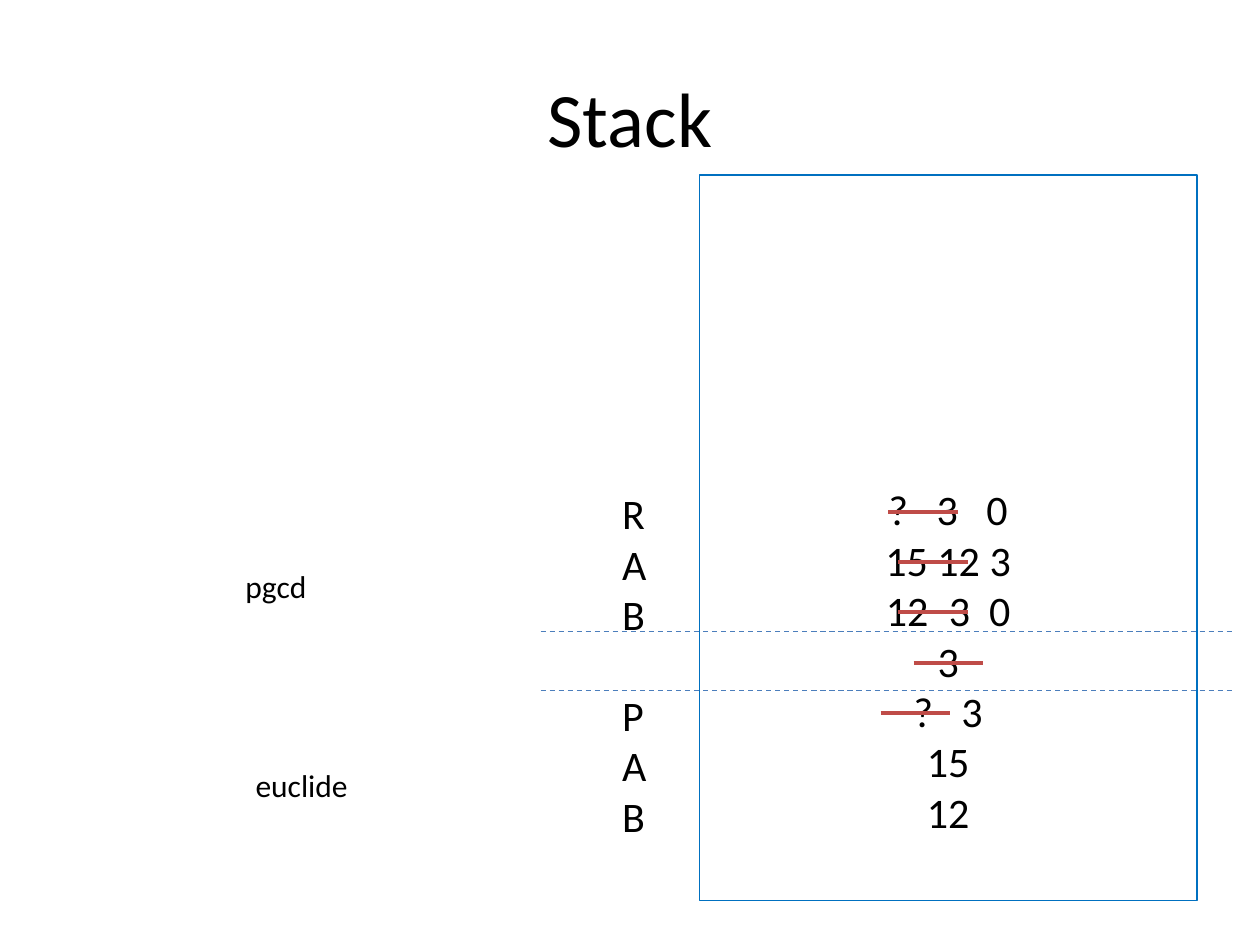
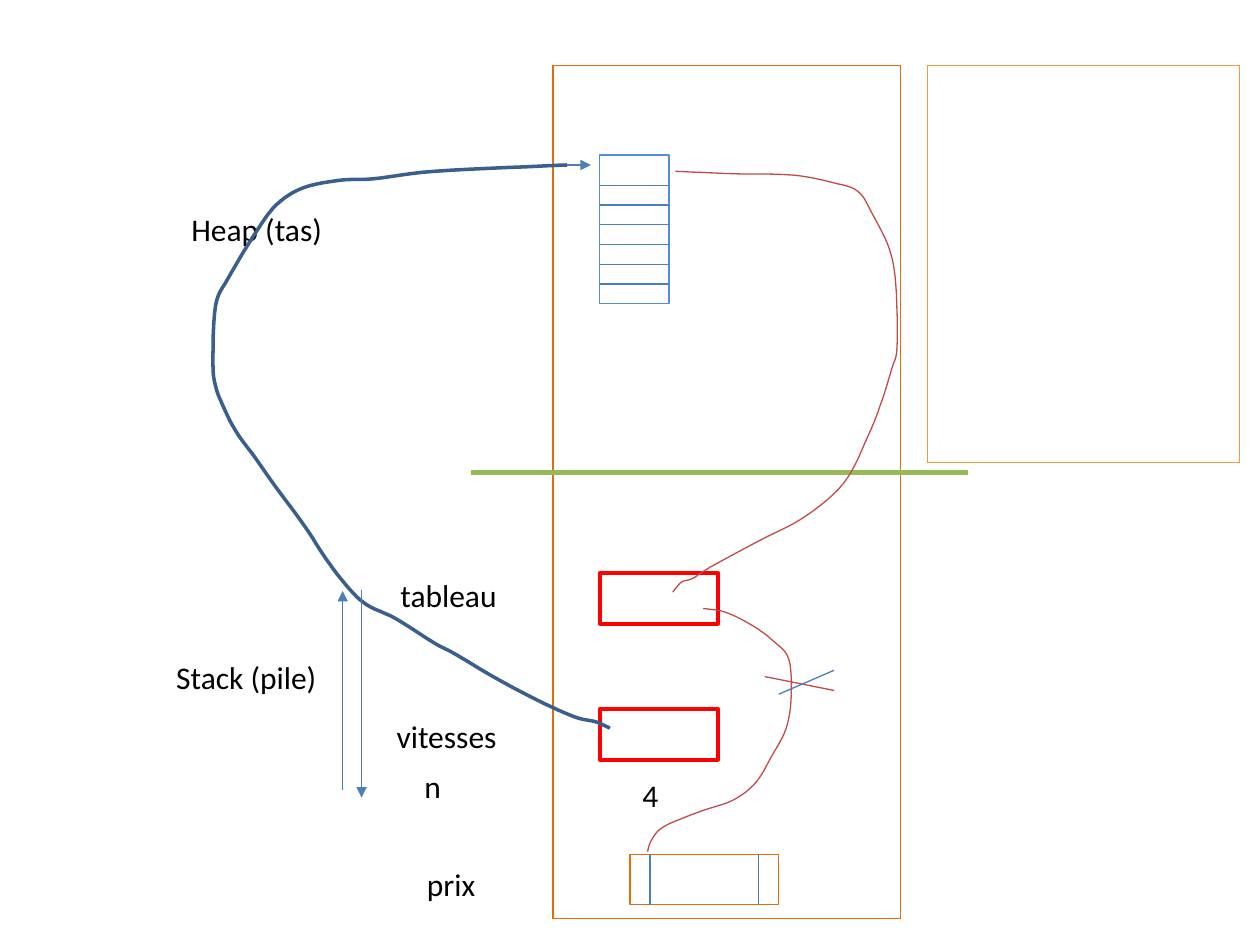
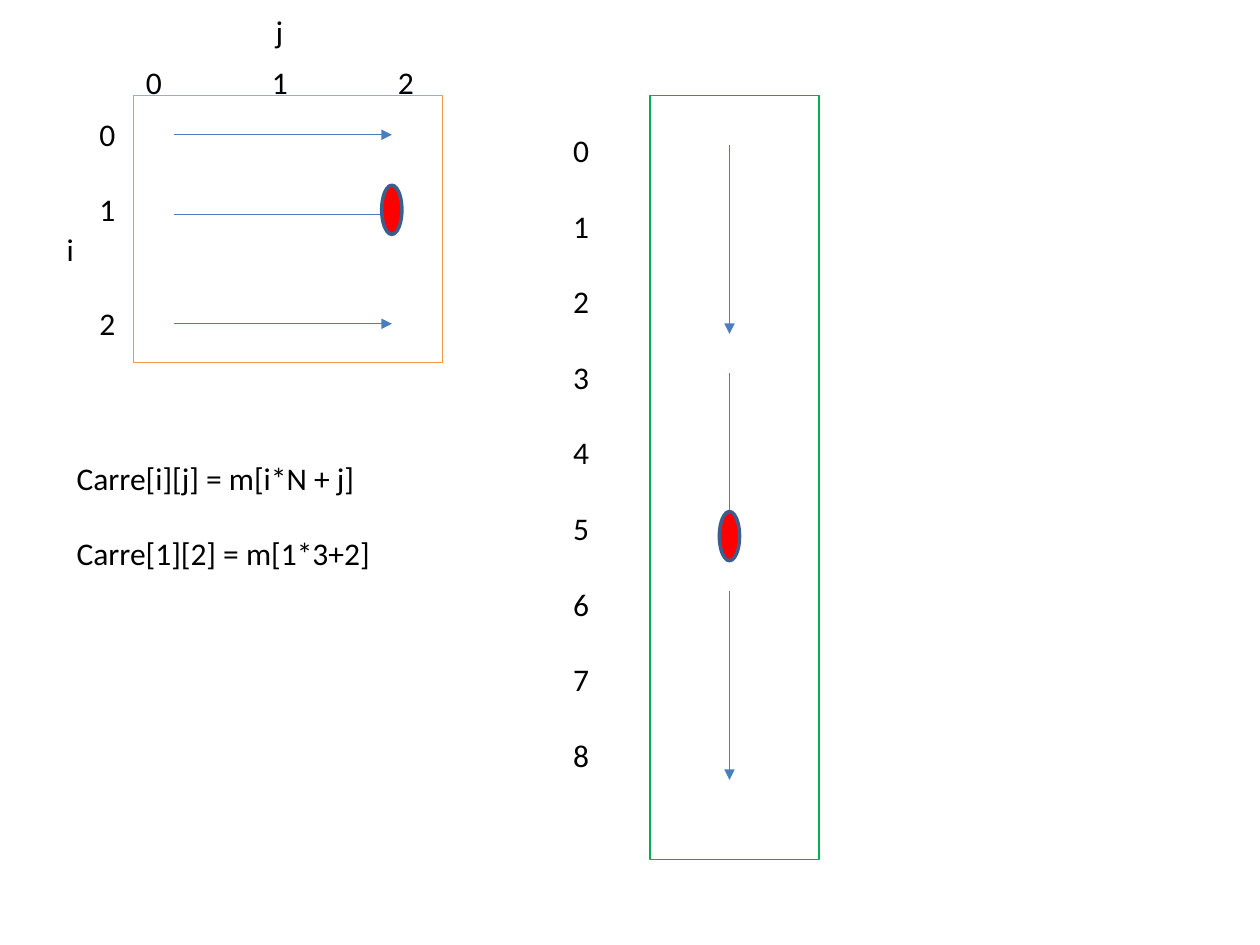
from lxml.etree import SubElement
from pptx import Presentation
from pptx.dml.color import RGBColor
from pptx.enum.dml import MSO_LINE
from pptx.enum.shapes import MSO_CONNECTOR, MSO_SHAPE
from pptx.enum.text import MSO_ANCHOR, PP_ALIGN
from pptx.oxml.ns import qn
from pptx.util import Inches, Pt

# Shared look: colours, line weights and sizes in points, lengths in inches
FONT = "Calibri"
BLACK, RED, CRIMSON = "000000", "FF0000", "BF4C48"
BLUE, NAVY, SKY, AZURE = "4B7EBC", "3A5F8C", "558ED5", "0070C0"
ORANGE, PEACH, GREEN, OLIVE = "E46C0A", "F79646", "00B050", "98B955"
THIN, CURVE, BOLD, HEAVY = 0.75, 2, 2.25, 3
TITLE_SIZE, STACK_SIZE, LABEL_SIZE = 44, 24, 18
LINE_HEIGHT = 1.2    # line pitch as a share of the font size
SPACE_WIDTH = 0.226  # width of a space as a share of the font size
LABEL_HEIGHT = 0.4

# Slide 1: stack rows as (values, spaces between values)
TITLE_BOX = (0.5, 0.3, 9, 1.25)
STACK_BOX = (5.55, 1.39, 3.95, 5.76)
STACK_ROWS = [(["?", "3", "0"], 3), (["15", "12", "3"], 1), (["3", "0"], 2),
              (["3"], 1), (["?", "3"], 3), (["15"], 1), (["12"], 1)]
STACK_LINES_ABOVE = 6
NUMBERED_ROW, FIRST_NUMBER = 2, 12
NAMES_BOX = (4.84, 1.82, 0.63, 5.25)
VARIABLE_NAMES = [("R", 0), ("A", 0), ("B", 0), ("P", 1), ("A", 0), ("B", 0)]
NAMES_LINES_ABOVE = 5
FUNCTION_LABELS = [("euclide", 1.93, 6.03, 2.36), ("pgcd", 1.85, 4.45, 2.36)]
BORDER_LEFT, BORDER_RIGHT, BORDER_TOPS = 4.29, 9.8, [5.01, 5.48]
STRIKE_LEFTS = [7.05, 7.13, 7.13, 7.25, 6.99]  # one struck row after another
STRIKE_TOP, STRIKE_PITCH, STRIKE_LENGTH = 4.06, 0.4, 0.55

# Slide 2: labels as (text, left, top, width)
MEMORY_BOX = (4.39, 0.52, 2.76, 6.77)
SPARE_BOX = (7.36, 0.52, 2.48, 3.15)
MEMORY_LABELS = [
    ("Stack (pile)", 1.3, 5.17, 2.44), ("Heap (tas)", 1.42, 1.62, 2.6),
    ("prix", 3.29, 6.82, 0.75), ("n", 3.27, 6.04, 0.75), ("4", 5, 6.11, 1.02),
    ("vitesses", 3.05, 5.64, 1.16), ("tableau", 3.08, 4.52, 1.16)]
HEAP_FLOOR = ((3.74, 3.75), (7.68, 3.75))
MEMORY_ARROWS = [((2.72, 6.27), (2.72, 4.69)),  # stack grows
                 ((2.87, 4.68), (2.87, 6.33)),  # stack shrinks
                 ((4.5, 1.31), (4.69, 1.31))]   # into the heap array
ARRAY_BOX = (4.76, 1.23, 0.55, 1.18)
ARRAY_FIRST_CELL, ARRAY_OTHER_CELLS = 0.24, 6
PRICE_BOX = (5, 6.78, 1.18, LABEL_HEIGHT)
PRICE_DIVIDERS = [5.16, 6.02]
POINTER_BOXES = [(4.76, top, 0.94, LABEL_HEIGHT) for top in (4.55, 5.63)]
CROSS = [((6.07, 5.37), (6.62, 5.48), CRIMSON), ((6.62, 5.32), (6.18, 5.51), BLUE)]

# Pointers drawn as smooth curves through a few points, in hundredths of an inch
CURVE_STEPS = 6
SPEEDS_TO_HEAP = [
    (484, 578), (473, 573), (456, 569), (427, 556), (393, 538), (361, 519),
    (344, 510), (314, 491), (291, 480), (276, 466), (259, 444), (242, 418),
    (217, 384), (203, 364), (187, 342), (176, 320), (171, 306), (169, 289),
    (171, 243), (181, 221), (204, 183), (220, 162), (241, 149), (271, 143),
    (296, 142), (345, 136), (427, 132), (450, 131)]
TABLE_TO_PRICES = [
    (558, 483), (576, 486), (598, 497), (614, 509), (626, 523), (628, 552),
    (624, 578), (612, 601), (600, 621), (582, 635), (556, 644), (527, 656),
    (517, 667), (514, 676)]
TABLE_TO_HEAP = [
    (534, 470), (541, 462), (550, 459), (564, 450), (603, 429), (639, 410),
    (670, 383), (689, 346), (700, 318), (708, 292), (712, 275), (711, 226),
    (706, 198), (693, 171), (681, 152), (661, 145), (629, 139), (583, 138),
    (536, 136)]
POINTER_CURVES = [(SPEEDS_TO_HEAP, NAVY, CURVE), (TABLE_TO_PRICES, CRIMSON, THIN),
                  (TABLE_TO_HEAP, CRIMSON, THIN)]

# Slide 3: text blocks as (rows, box), rows as (text, empty lines above)
MATRIX_BOX = (1.06, 0.76, 2.45, 2.12)
CELLS_BOX = (5.16, 0.76, 1.34, 6.06)
MATRIX_ROWS = [("0", 0), ("1", 1), ("2", 2)]
MEMORY_CELLS = [(str(cell), min(cell, 1)) for cell in range(9)]
FORMULAS = [("Carre[i][j] = m[i*N + j]", 0), ("Carre[1][2] = m[1*3+2]", 1)]
INDEX_BLOCKS = [(FORMULAS, (0.51, 3.59, 2.99, 1.01)),
                (MATRIX_ROWS, (0.69, 0.86, 0.37, 1.92)),
                (MEMORY_CELLS, (4.45, 0.99, 0.63, 5.25))]
AXIS_LABELS = [("i", 0.43, 1.78, 0.26), ("j", 2.09, 0.05, 0.26)]
COLUMN_INDICES = ["0", "1", "2"]
COLUMN_INDEX_BOX, COLUMN_PITCH = (1.06, 0.45, 2.44, LABEL_HEIGHT), 1
ROW_ARROW_LEFT, ROW_ARROW_RIGHT, ROW_ARROW_TOPS = 1.38, 3.11, [1.07, 1.7, 2.57]
CELL_ARROW_X, CELL_ARROW_LENGTH, CELL_ARROW_TOPS = 5.79, 1.5, [1.15, 2.96, 4.69]
MARKED_CELLS = [(left, top, 0.16, 0.39) for left, top in ((3.03, 1.47), (5.71, 4.06))]


# Text
def color(hex_code):
    return RGBColor.from_string(hex_code)


def next_paragraph(frame, index, size):
    paragraph = frame.add_paragraph() if index else frame.paragraphs[0]
    paragraph.font.name = FONT
    paragraph.font.size = Pt(size)
    paragraph.font.color.rgb = color(BLACK)
    return paragraph


def start_frame(shape, size, lines_above=0):
    frame = shape.text_frame
    frame.word_wrap = True
    frame.vertical_anchor = MSO_ANCHOR.TOP
    frame.margin_top += lines_above * Pt(size * LINE_HEIGHT)
    return frame


def add_text(slide, rows, box, size=LABEL_SIZE, lines_above=0):
    """Write rows of (text, empty lines above) into one text box."""
    textbox = slide.shapes.add_textbox(*map(Inches, box))
    frame = start_frame(textbox, size, lines_above)
    for index, (text, gap) in enumerate(rows):
        paragraph = next_paragraph(frame, index, size)
        paragraph.text = text
        if gap:
            paragraph.space_before = gap * Pt(size * LINE_HEIGHT)
    return frame


def add_labels(slide, labels):
    for text, left, top, width in labels:
        add_text(slide, [(text, 0)], (left, top, width, LABEL_HEIGHT))


def add_spaced_values(paragraph, values, spaces, size):
    """Part the values with one space each, widened by character spacing."""
    for index, value in enumerate(values):
        if index:
            space = paragraph.add_run()
            space.text = " "
            extra = (spaces - 1) * SPACE_WIDTH * size
            space._r.get_or_add_rPr().set("spc", str(round(extra * 100)))
        paragraph.add_run().text = value


def number_paragraph(paragraph, first_number):
    properties = paragraph._p.get_or_add_pPr()
    properties.set("marL", str(Inches(0.5)))
    properties.set("indent", str(-Inches(0.5)))
    numbering = properties.makeelement(
        qn("a:buAutoNum"), {"type": "arabicPlain", "startAt": str(first_number)})
    properties.insert(0, numbering)


def set_tab_stops(paragraph, pitch, count):
    stops = paragraph._p.get_or_add_pPr().makeelement(qn("a:tabLst"), {})
    for stop in range(1, count + 1):
        SubElement(stops, qn("a:tab"), pos=str(Inches(stop * pitch)), algn="l")
    paragraph._p.get_or_add_pPr().insert(0, stops)


# Shapes and lines
def set_line(shape, hex_code, width):
    shape.line.color.rgb = color(hex_code)
    shape.line.width = Pt(width)


def add_outline(slide, box, line, width=THIN, kind=MSO_SHAPE.RECTANGLE, fill=None):
    shape = slide.shapes.add_shape(kind, *map(Inches, box))
    shape.shadow.inherit = False
    if fill:
        shape.fill.solid()
        shape.fill.fore_color.rgb = color(fill)
    else:
        shape.fill.background()
    set_line(shape, line, width)
    return shape


def add_line(slide, start, end, hex_code=BLUE, width=THIN, arrow=False, dashed=False):
    ends = map(Inches, (*start, *end))
    connector = slide.shapes.add_connector(MSO_CONNECTOR.STRAIGHT, *ends)
    set_line(connector, hex_code, width)
    if dashed:
        connector.line.dash_style = MSO_LINE.DASH
    if arrow:
        SubElement(connector.get_or_add_ln(), qn("a:tailEnd"), type="triangle")
    SubElement(connector._element.spPr, qn("a:effectLst"))


def smooth(points):
    """Put extra points between the given ones, on a Catmull-Rom spline."""
    padded = [points[0], *points, points[-1]]
    result = [points[0]]
    for before, start, end, after in zip(padded, padded[1:], padded[2:], padded[3:]):
        for step in range(1, CURVE_STEPS + 1):
            t = step / CURVE_STEPS
            result.append(tuple(
                (2 * b + (c - a) * t + (2 * a - 5 * b + 4 * c - d) * t ** 2
                 + (3 * b - a - 3 * c + d) * t ** 3) / 2
                for a, b, c, d in zip(before, start, end, after)))
    return result


def add_curve(slide, points, hex_code, width):
    # Tenfold units keep the spline's points from being rounded too far
    start, *others = [(x * 10, y * 10) for x, y in smooth(points)]
    builder = slide.shapes.build_freeform(*start, scale=Inches(1) / 1000)
    builder.add_line_segments(others, close=False)
    curve = builder.convert_to_shape()
    curve.shadow.inherit = False
    curve.fill.background()
    set_line(curve, hex_code, width)


# Slides
def build_stack(slide):
    title = add_text(slide, [("Stack", 0)], TITLE_BOX, TITLE_SIZE)
    title.vertical_anchor = MSO_ANCHOR.MIDDLE
    title.paragraphs[0].alignment = PP_ALIGN.CENTER

    # Values inside the stack, names beside it
    stack = add_outline(slide, STACK_BOX, AZURE)
    frame = start_frame(stack, STACK_SIZE, STACK_LINES_ABOVE)
    for index, (values, spaces) in enumerate(STACK_ROWS):
        paragraph = next_paragraph(frame, index, STACK_SIZE)
        paragraph.alignment = PP_ALIGN.CENTER
        add_spaced_values(paragraph, values, spaces, STACK_SIZE)
        if index == NUMBERED_ROW:
            number_paragraph(paragraph, FIRST_NUMBER)
    add_text(slide, VARIABLE_NAMES, NAMES_BOX, STACK_SIZE, NAMES_LINES_ABOVE)
    add_labels(slide, FUNCTION_LABELS)

    # Borders between calls, strokes through old values
    for y in BORDER_TOPS:
        add_line(slide, (BORDER_LEFT, y), (BORDER_RIGHT, y), dashed=True)
    for row, x in enumerate(STRIKE_LEFTS):
        y = STRIKE_TOP + row * STRIKE_PITCH
        add_line(slide, (x, y), (x + STRIKE_LENGTH, y), CRIMSON, BOLD)


def build_heap(slide):
    # Memory, with the heap above the stack
    add_outline(slide, MEMORY_BOX, ORANGE)
    add_outline(slide, SPARE_BOX, PEACH)
    add_line(slide, *HEAP_FLOOR, OLIVE, HEAVY)
    add_labels(slide, MEMORY_LABELS)

    # Heap array: a taller first cell, then equal cells
    add_outline(slide, ARRAY_BOX, SKY)
    left, top, width, height = ARRAY_BOX
    pitch = (height - ARRAY_FIRST_CELL) / ARRAY_OTHER_CELLS
    for cell in range(ARRAY_OTHER_CELLS):
        y = top + ARRAY_FIRST_CELL + cell * pitch
        add_line(slide, (left, y), (left + width, y))

    # Price array and pointer variables on the stack
    add_outline(slide, PRICE_BOX, ORANGE)
    _, top, _, height = PRICE_BOX
    for x in PRICE_DIVIDERS:
        add_line(slide, (x, top), (x, top + height))
    for box in POINTER_BOXES:
        add_outline(slide, box, RED, BOLD)

    # Where the pointers lead, and the crossed-out one
    for points, hex_code, width in POINTER_CURVES:
        add_curve(slide, points, hex_code, width)
    for start, end in MEMORY_ARROWS:
        add_line(slide, start, end, arrow=True)
    for start, end, hex_code in CROSS:
        add_line(slide, start, end, hex_code)


def build_matrix(slide):
    # The matrix and its cells in memory
    add_outline(slide, MATRIX_BOX, PEACH)
    add_outline(slide, CELLS_BOX, GREEN)
    for y in ROW_ARROW_TOPS:
        add_line(slide, (ROW_ARROW_LEFT, y), (ROW_ARROW_RIGHT, y), arrow=True)
    for y in CELL_ARROW_TOPS:
        add_line(slide, (CELL_ARROW_X, y), (CELL_ARROW_X, y + CELL_ARROW_LENGTH), arrow=True)

    # Formulas and indices
    for rows, box in INDEX_BLOCKS:
        add_text(slide, rows, box)
    add_labels(slide, AXIS_LABELS)
    columns = add_text(slide, [("\t".join(COLUMN_INDICES), 0)], COLUMN_INDEX_BOX)
    set_tab_stops(columns.paragraphs[0], COLUMN_PITCH, len(COLUMN_INDICES) - 1)

    # The same cell in both views
    for box in MARKED_CELLS:
        add_outline(slide, box, NAVY, CURVE, MSO_SHAPE.OVAL, RED)


def main():
    presentation = Presentation()
    presentation.slide_width, presentation.slide_height = Inches(10), Inches(7.5)
    blank_layout = presentation.slide_layouts[6]
    for build in (build_stack, build_heap, build_matrix):
        build(presentation.slides.add_slide(blank_layout))
    presentation.save("out.pptx")


if __name__ == "__main__":
    main()
